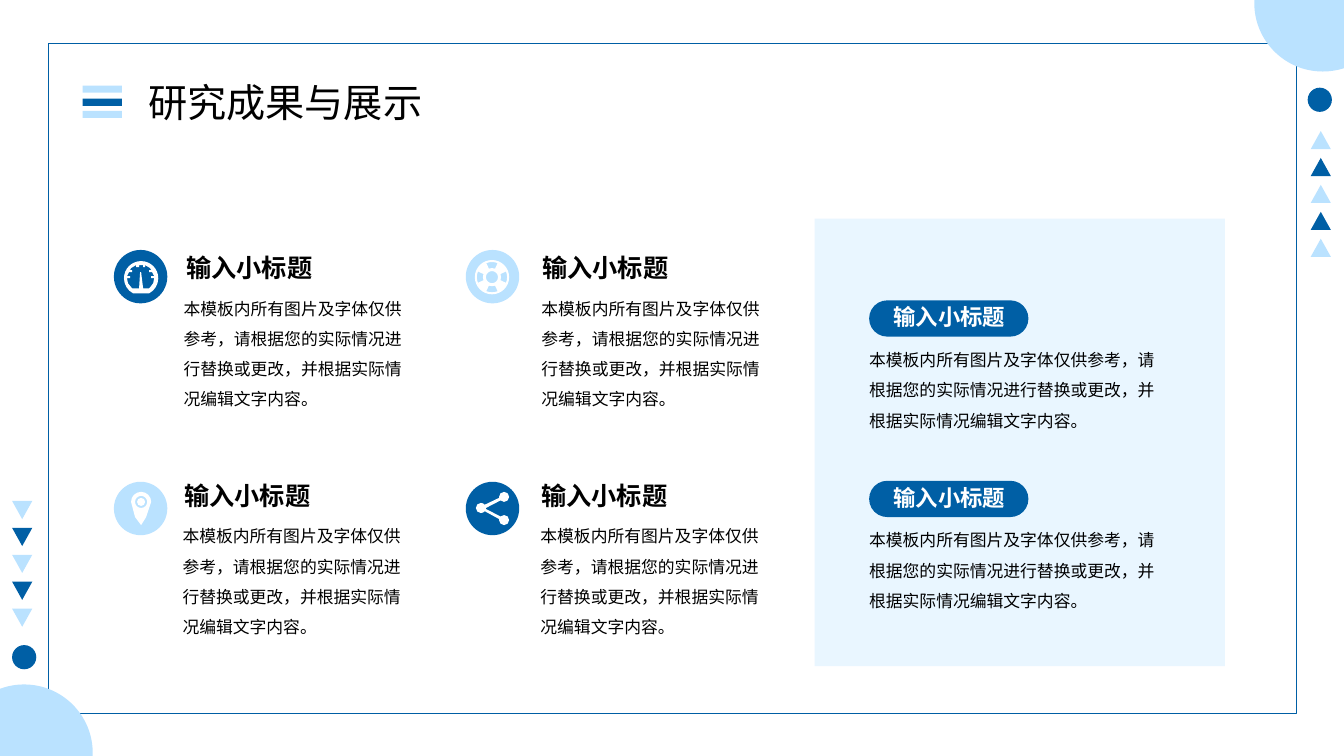
"""Builds a slide of research results with four icon items and a highlight panel."""
from math import cos, radians, sin, tan

from lxml.etree import SubElement
from pptx import Presentation
from pptx.dml.color import RGBColor
from pptx.enum.shapes import MSO_SHAPE as Shape
from pptx.enum.text import MSO_AUTO_SIZE as AutoSize, PP_ALIGN as Align
from pptx.oxml.ns import qn
from pptx.util import Inches, Pt

DARK, LIGHT, WHITE, BLACK = "005FA5", "BAE2FF", "FFFFFF", "000000"
FONT = "TeX Gyre Adventor"
HEADING = "输入小标题"
BODY = "本模板内所有图片及字体仅供参考，请根据您的实际情况进行替换或更改，并根据实际情况编辑文字内容。"

presentation = Presentation()
presentation.slide_width = Inches(13.33)
presentation.slide_height = Inches(7.5)
slide = presentation.slides.add_slide(presentation.slide_layouts[6])
shapes = slide.shapes


def paint(shape, color):
    """Gives a shape a plain fill without line or shadow."""
    shape.shadow.inherit = False
    shape.fill.solid()
    shape.fill.fore_color.rgb = RGBColor.from_string(color)
    shape.line.fill.background()
    return shape


def add_text(text, left, top, width, height, size=12, color=BLACK, bold=False,
             spacing=1.0, align=Align.LEFT, wrap=True, inset=(0.1, 0.05)):
    """Adds a one-paragraph text box."""
    box = shapes.add_textbox(Inches(left), Inches(top), Inches(width), Inches(height))
    frame = box.text_frame
    frame.word_wrap = wrap
    frame.auto_size = AutoSize.SHAPE_TO_FIT_TEXT
    frame.margin_left = frame.margin_right = Inches(inset[0])
    frame.margin_top = frame.margin_bottom = Inches(inset[1])
    paragraph = frame.paragraphs[0]
    paragraph.alignment = align
    paragraph.line_spacing = spacing
    run = paragraph.add_run()
    run.text = text
    run.font.size = Pt(size)
    run.font.name = FONT
    run.font.bold = bold
    run.font.color.rgb = RGBColor.from_string(color)


frame_box = paint(shapes.add_shape(
    Shape.RECTANGLE, Inches(0.48), Inches(0.43), Inches(12.38), Inches(6.65)), WHITE)
frame_box.fill.background()
frame_box.line.color.rgb = RGBColor.from_string(DARK)
frame_box.line.width = Pt(1)

for left, first_top, rotation in [(13, 1.3, 0), (0.12, 4.97, 180)]:
    for index in range(5):
        triangle = paint(shapes.add_shape(
            Shape.ISOSCELES_TRIANGLE, Inches(left), Inches(first_top + 0.267 * index),
            Inches(0.2), Inches(0.18)), DARK if index % 2 else LIGHT)
        triangle.rotation = rotation

for left, top, size, color in [
    (12.97, 0.87, 0.24, DARK), (0.12, 6.4, 0.24, DARK),
    (1.13, 2.48, 0.53, DARK), (1.13, 4.78, 0.53, LIGHT),
    (4.62, 2.48, 0.53, LIGHT), (4.62, 4.78, 0.53, DARK),
]:
    paint(shapes.add_shape(
        Shape.OVAL, Inches(left), Inches(top), Inches(size), Inches(size)), color)

# Each contour mixes points (x, y) and arcs (x, y, radius, start, end).
gauge = [
    [(1.4, 2.76, 0.17, 118, 422)],
    [(1.49, 2.85), (1.52, 2.81), (1.53, 2.76), (1.5, 2.76), (1.5, 2.74), (1.53, 2.74),
     (1.51, 2.7), (1.48, 2.7), (1.48, 2.68), (1.5, 2.68), (1.49, 2.66), (1.44, 2.63),
     (1.44, 2.65), (1.42, 2.65), (1.42, 2.63), (1.38, 2.63), (1.38, 2.65), (1.35, 2.65),
     (1.35, 2.63), (1.3, 2.66), (1.29, 2.68), (1.31, 2.68), (1.31, 2.7), (1.28, 2.7),
     (1.26, 2.74), (1.29, 2.74), (1.29, 2.76), (1.26, 2.76), (1.27, 2.81), (1.31, 2.86),
     (1.38, 2.86), (1.39, 2.7), (1.4, 2.7), (1.42, 2.86), (1.48, 2.86)],
]
pin = [
    [(1.4, 4.98, 0.1, 180, 360), (1.45, 5.13), (1.4, 5.21), (1.34, 5.13)],
    [(1.4, 4.98, 0.06, 0, 360)],
    [(1.4, 4.98, 0.04, 0, 360)],
]
lifebuoy = [[(4.88, 2.75, 0.17, 0, 360)], [(4.88, 2.75, 0.06, 0, 360)]] + [
    [(4.88, 2.75, 0.15, turn - 22, turn + 22), (4.88, 2.75, 0.09, turn + 20, turn - 20)]
    for turn in range(0, 360, 90)
]
share = [[(4.77, 5.04, 0.05, 40, 320), (5, 4.93, 0.05, 169, 495), (4.82, 5.04),
          (4.82, 5.05), (5, 5.16, 0.05, 225, 551)]]
top_corner = [[(13.12, 0.03, 0.68, 72, 180), (12.44, 0), (13.33, 0)]]
bottom_corner = [[(0.24, 7.47, 0.68, 249.3, 360), (0.92, 7.5), (0, 7.5)]]

for color, contours in [(LIGHT, top_corner), (LIGHT, bottom_corner), (WHITE, gauge),
                        (WHITE, pin), (WHITE, lifebuoy), (WHITE, share)]:
    builder = None
    curve_starts, line_count = [], 0
    for contour in contours:
        points = []
        for x, y, *arc in contour:
            if not arc:
                points.append((x, y))
                continue
            radius, start, end = arc
            quarters = [angle for angle in range(-90, 720, 90)
                        if min(start, end) < angle < max(start, end)]
            stops = sorted([start, *quarters, end], reverse=start > end)
            points.append((x + radius * cos(radians(start)), y + radius * sin(radians(start))))
            for first, last in zip(stops, stops[1:]):
                a, b = radians(first), radians(last)
                pull = 4 / 3 * tan((b - a) / 4)
                curve_starts.append(line_count + len(points) - 1)
                points += [
                    (x + radius * (cos(a) - pull * sin(a)), y + radius * (sin(a) + pull * cos(a))),
                    (x + radius * (cos(b) + pull * sin(b)), y + radius * (sin(b) - pull * cos(b))),
                    (x + radius * cos(b), y + radius * sin(b))]
        points = [(Inches(x), Inches(y)) for x, y in points]
        if builder is None:
            builder = shapes.build_freeform(*points[0], scale=1.0)
        else:
            builder.move_to(*points[0])
        builder.add_line_segments(points[1:], close=True)
        line_count += len(points) - 1
    outline = paint(builder.convert_to_shape(), color)
    lines = list(outline._element.iter(qn("a:lnTo")))
    for start in curve_starts:
        curve = lines[start].makeelement(qn("a:cubicBezTo"))
        lines[start].addprevious(curve)
        for line in lines[start:start + 3]:
            curve.append(line[0])
            line.getparent().remove(line)

for heading_left, heading_top, body_left, body_top in [
    (1.75, 2.45, 1.75, 2.83), (5.28, 2.45, 5.3, 2.83),
    (1.73, 4.72, 1.74, 5.09), (5.27, 4.72, 5.29, 5.09),
]:
    add_text(BODY, body_left, body_top, 2.32, 1.25, spacing=1.5, inset=(0.07, 0.03))
    add_text(HEADING, heading_left, heading_top, 2.11, 0.4, size=18, bold=True)

panel = paint(shapes.add_shape(
    Shape.RECTANGLE, Inches(8.08), Inches(2.17), Inches(4.07), Inches(4.44)), LIGHT)
panel_color = panel._element.spPr.find(qn("a:solidFill"))[0]
SubElement(panel_color, qn("a:alpha"), val="31000")

for top in (2.98, 4.77):
    pill = paint(shapes.add_shape(
        Shape.ROUNDED_RECTANGLE, Inches(8.62), Inches(top), Inches(1.58), Inches(0.36)), DARK)
    pill.adjustments[0] = 0.5
    add_text(HEADING, 8.75, top - 0.02, 1.33, 0.37, size=16, color=WHITE, bold=True,
             align=Align.CENTER, wrap=False)
    add_text(BODY, 8.55, top + 0.36, 3.12, 0.94, spacing=1.5, inset=(0.07, 0.03))

for top, color in [(0.85, LIGHT), (0.98, DARK), (1.1, LIGHT)]:
    paint(shapes.add_shape(
        Shape.RECTANGLE, Inches(0.82), Inches(top), Inches(0.39), Inches(0.07)), color)
add_text("研究成果与展示", 1.47, 0.78, 3.6, 0.47, size=28, inset=(0, 0))

presentation.save("out.pptx")
